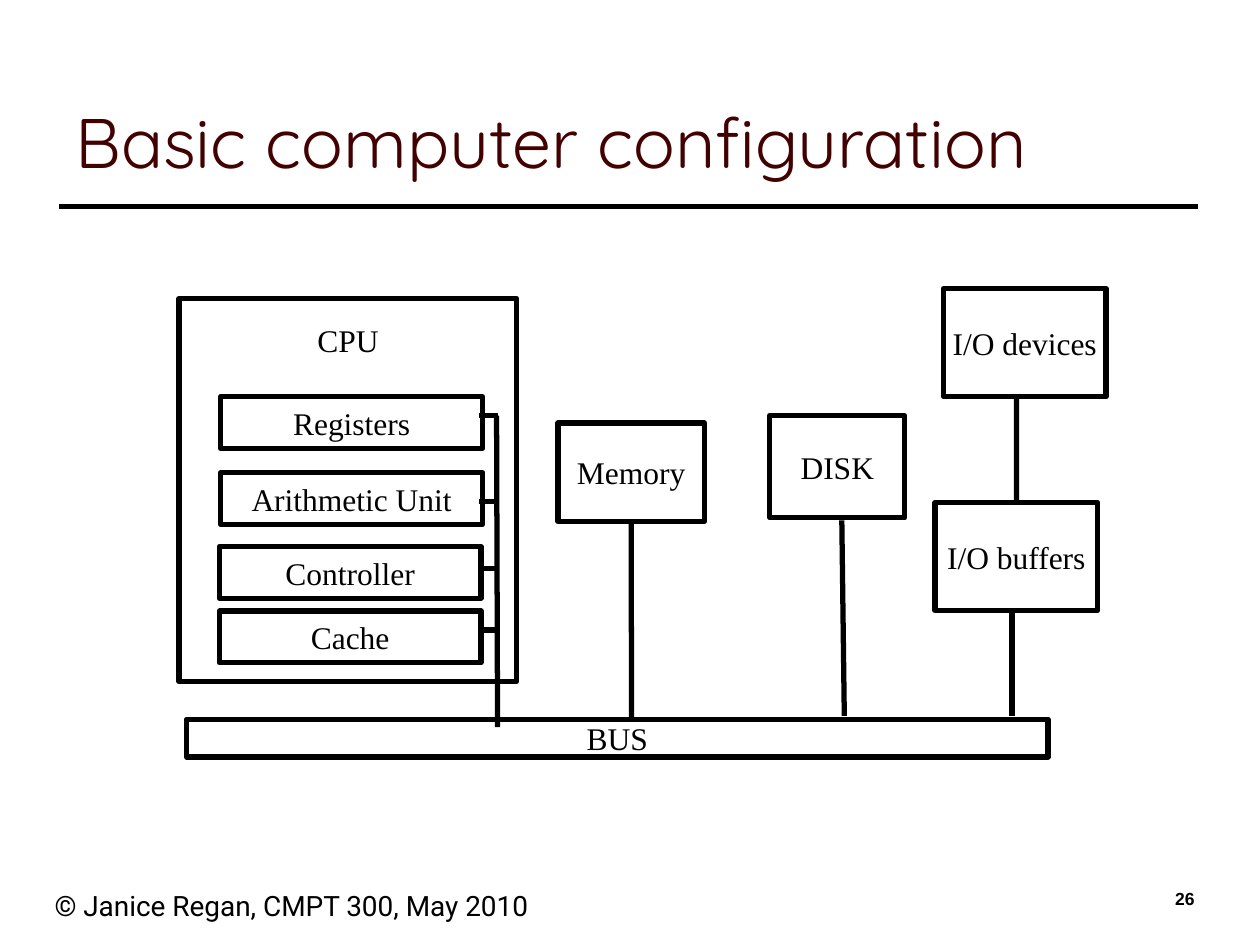
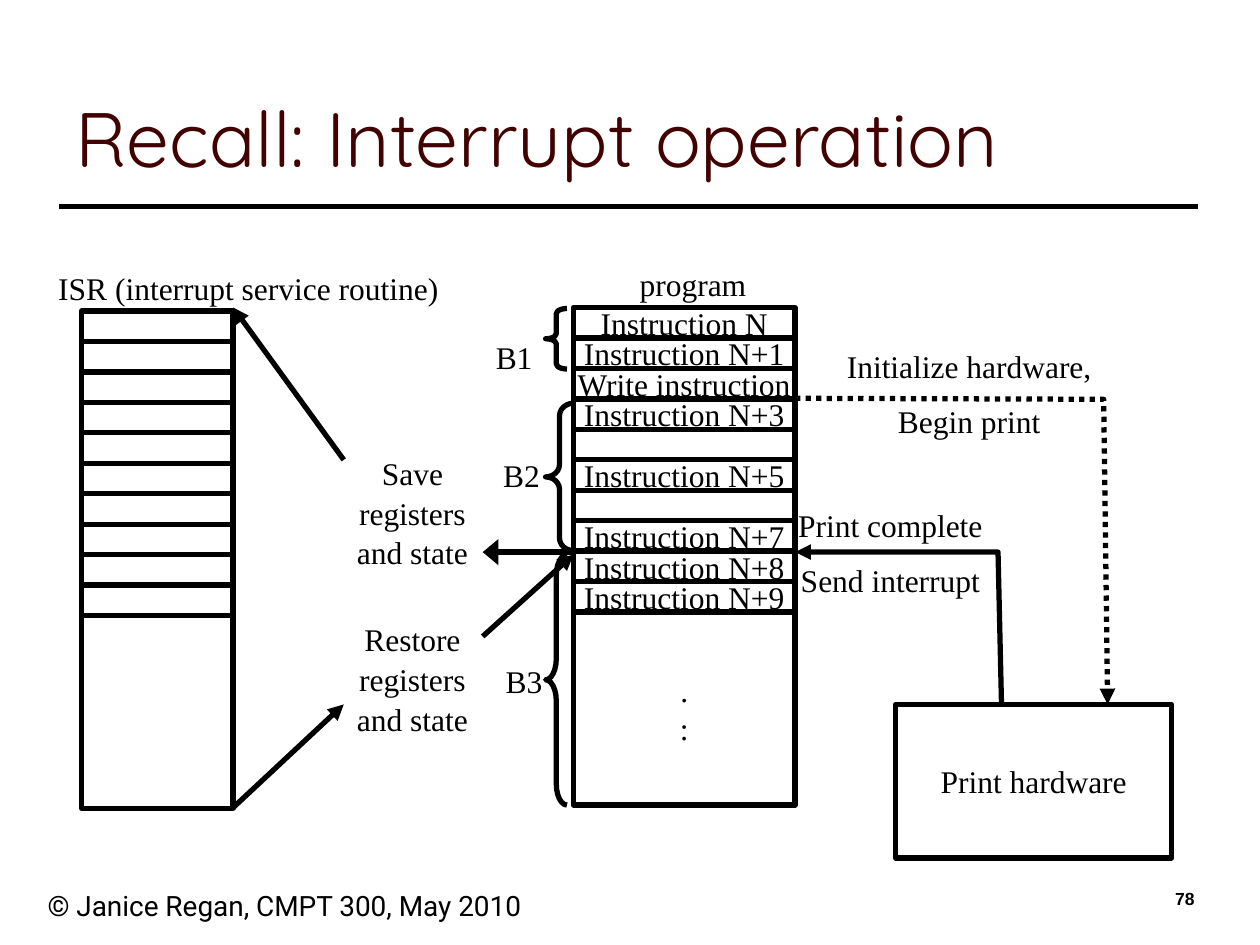
from pptx import Presentation
from pptx.dml.color import RGBColor
from pptx.enum.dml import MSO_LINE
from pptx.enum.shapes import MSO_CONNECTOR, MSO_SHAPE
from pptx.enum.text import MSO_ANCHOR, MSO_AUTO_SIZE, PP_ALIGN
from pptx.oxml.ns import qn
from pptx.util import Cm, Pt
from lxml.etree import SubElement

COLORS = {"ink": "000000", "paper": "FFFFFF", "title": "420000"}
BODY_FONT = "Times New Roman"
BODY_SIZE = 18
LINE_WIDTH = Pt(3)


def rgb(name):
    return RGBColor.from_string(COLORS[name])


# Text
def add_run(p, text, font=BODY_FONT, size=BODY_SIZE, color="ink", bold=False):
    r = p.add_run()
    r.text = text
    r.font.name = font
    r.font.size = Pt(size)
    r.font.bold = bold
    r.font.color.rgb = rgb(color)


def add_lines(tf, lines, space=0, spacing=None):
    """Write centred paragraphs, with space between them."""
    for i, line in enumerate(lines):
        p = tf.add_paragraph() if i else tf.paragraphs[0]
        p.alignment = PP_ALIGN.CENTER
        p.line_spacing = spacing
        if i and space:
            p.space_before = Pt(space)
        add_run(p, line)


def add_text_frame(s, x, y, w, h):
    tf = s.shapes.add_textbox(Cm(x), Cm(y), Cm(w), Cm(h)).text_frame
    tf.word_wrap = True
    return tf


def add_label(s, x, y, w, h, *lines):
    add_lines(add_text_frame(s, x, y, w, h), lines, space=9, spacing=1.05)


# Shapes and lines
def style_line(shape):
    shape.line.color.rgb = rgb("ink")
    shape.line.width = LINE_WIDTH


def add_box(s, x, y, w, h, *lines):
    box = s.shapes.add_shape(MSO_SHAPE.RECTANGLE, Cm(x), Cm(y), Cm(w), Cm(h))
    box.shadow.inherit = False
    box.fill.solid()
    box.fill.fore_color.rgb = rgb("paper")
    style_line(box)
    tf = box.text_frame
    tf.word_wrap = False
    tf.vertical_anchor = MSO_ANCHOR.MIDDLE
    add_lines(tf, lines)
    return box


def add_arrowhead(shape, width="med"):
    ln = shape.element.spPr.find(qn("a:ln"))
    SubElement(ln, qn("a:tailEnd"), type="triangle", w=width, len="med")


def add_line(s, x1, y1, x2, y2):
    line = s.shapes.add_connector(MSO_CONNECTOR.STRAIGHT,
                                  Cm(x1), Cm(y1), Cm(x2), Cm(y2))
    style_line(line)
    SubElement(line.element.spPr, qn("a:effectLst"))
    return line


def add_arrow(s, x1, y1, x2, y2, width="med"):
    add_arrowhead(add_line(s, x1, y1, x2, y2), width)


def add_bent_arrow(s, points, dash=None):
    start, *rest = [(Cm(x), Cm(y)) for x, y in points]
    builder = s.shapes.build_freeform(*start)
    builder.add_line_segments(rest, close=False)
    arrow = builder.convert_to_shape()
    arrow.shadow.inherit = False
    arrow.fill.background()
    style_line(arrow)
    if dash:
        arrow.line.dash_style = dash
    add_arrowhead(arrow)


def add_brace(s, x, y, w, h, curve):
    brace = s.shapes.add_shape(MSO_SHAPE.LEFT_BRACE, Cm(x), Cm(y), Cm(w), Cm(h))
    brace.shadow.inherit = False
    brace.fill.background()
    style_line(brace)
    brace.adjustments[0] = curve


def add_memory_stack(s, x, y, w, labels, rest):
    """Ten instruction rows above one tall block."""
    rows_h, rest_h = 6.14, 3.89
    row_h = rows_h / len(labels)
    for i, label in enumerate(labels):
        add_box(s, x, y + i * row_h, w, row_h, *([label] if label else []))
    add_box(s, x, y + rows_h, w, rest_h, *rest)


# Common slide frame
def add_slide(prs, title, title_size, number, footer_x):
    s = prs.slides.add_slide(prs.slide_layouts[5])
    add_line(s, 1.19, 4.17, 24.16, 4.17)

    tf = add_text_frame(s, footer_x, 17.78, 12.19, 1.27)
    add_run(tf.paragraphs[0], "© Janice Regan, CMPT 300, May 2010", "Roboto", 16)
    p = add_text_frame(s, 19.05, 17.78, 5.28, 1.27).paragraphs[0]
    p.alignment = PP_ALIGN.RIGHT
    add_run(p, number, "Arial", 10, bold=True)

    sp = s.shapes.title
    sp.left, sp.top, sp.width, sp.height = Cm(1.27), Cm(0.64), Cm(22.86), Cm(3.17)
    tf = sp.text_frame
    tf.auto_size = MSO_AUTO_SIZE.NONE
    tf.vertical_anchor = MSO_ANCHOR.BOTTOM
    p = tf.paragraphs[0]
    p.alignment = PP_ALIGN.LEFT
    add_run(p, title, "Quicksand", title_size, "title")
    return s


def build_configuration(prs):
    s = add_slide(prs, "Basic computer configuration", 40, "26", 0.85)

    # Main blocks
    cpu = add_box(s, 3.61, 6.02, 6.81, 7.72, "CPU")
    cpu.text_frame.vertical_anchor = MSO_ANCHOR.TOP
    cpu.text_frame.margin_top = Cm(0.46)
    add_box(s, 3.76, 14.5, 17.37, 0.76, "BUS")
    memory = add_box(s, 11.25, 8.53, 2.95, 1.98, "Memory")
    add_box(s, 15.52, 8.38, 2.72, 2.06, "DISK")
    add_box(s, 19.02, 5.82, 3.28, 2.18, "I/O devices")
    buffers = add_box(s, 18.85, 10.13, 3.28, 2.18, "I/O buffers")

    # CPU units with their taps to the internal line
    units = [("Registers", 4.45, 8.0, 8.38),
             ("Arithmetic Unit", 4.45, 9.53, 10.11),
             ("Controller", 4.42, 11.02, 11.46),
             ("Cache", 4.42, 12.32, 12.7)]
    for name, x, y, tap_y in units:
        add_box(s, x, y, 5.28, 1.04, name)
        add_line(s, 9.65, tap_y, 10.03, tap_y)
    add_line(s, 10.01, 8.38, 10.03, 14.66)

    # Links to the bus
    add_line(s, 12.73, 10.51, 12.73, 14.5).begin_connect(memory, 2)
    add_line(s, 16.97, 10.49, 17.02, 14.43)
    add_line(s, 20.4, 12.34, 20.4, 14.43)
    add_line(s, 20.49, 7.98, 20.49, 10.13).end_connect(buffers, 0)


def build_interrupt(prs):
    s = add_slide(prs, "Recall: Interrupt operation", 44, "78", 0.71)

    # Program and service routine
    instructions = ["Instruction N", "Instruction N+1", "Write instruction",
                    "Instruction N+3", "", "Instruction N+5", "",
                    "Instruction N+7", "Instruction N+8", "Instruction N+9"]
    add_memory_stack(s, 11.56, 6.2, 4.47, instructions, [".", ":"])
    add_memory_stack(s, 1.65, 6.27, 3.05, [""] * 10, [])
    add_label(s, 0.3, 5.26, 9.42, 1.02, "ISR (interrupt service routine)")
    add_label(s, 11, 5.18, 5.94, 1.02, "program")

    # Printer and its signals
    add_box(s, 18.06, 14.2, 5.56, 3.1, "Print hardware")
    add_bent_arrow(s, [(16.03, 8.03), (22.25, 8.05), (22.33, 14.2)],
                   MSO_LINE.ROUND_DOT)
    add_label(s, 16.76, 6.83, 5.56, 2.16, "Initialize hardware,", "Begin print")
    add_bent_arrow(s, [(20.19, 14.2), (20.12, 11.13), (16.03, 11.13)])
    add_label(s, 15.09, 10.03, 5.72, 2.16, "Print complete", "Send interrupt")

    # Saving and restoring state
    add_arrow(s, 11.56, 11.13, 9.73, 11.13, "lg")
    add_arrow(s, 6.93, 9.27, 4.7, 6.2)
    add_arrow(s, 9.73, 12.83, 11.56, 11.18)
    add_arrow(s, 4.7, 16.28, 6.93, 14.2)
    for action, y in [("Save", 8.99), ("Restore", 12.34)]:
        add_label(s, 6.93, y, 2.77, 2.54, f"{action} registers and state")

    # Instruction blocks
    blocks = [("B1", 9.73, 6.65, 6.22, 0.43, 1.22, 0.24),
              ("B2", 9.88, 9.04, 8.13, 0.56, 2.97, 0.45),
              ("B3", 9.93, 13.18, 11.18, 0.43, 5.05, 0.99)]
    for name, x, y, brace_y, brace_w, brace_h, curve in blocks:
        add_brace(s, 11, brace_y, brace_w, brace_h, curve)
        add_label(s, x, y, 1.27, 1.02, name)


def main():
    prs = Presentation()
    prs.slide_width, prs.slide_height = Cm(25.4), Cm(19.05)
    build_configuration(prs)
    build_interrupt(prs)
    prs.save("out.pptx")


if __name__ == "__main__":
    main()
